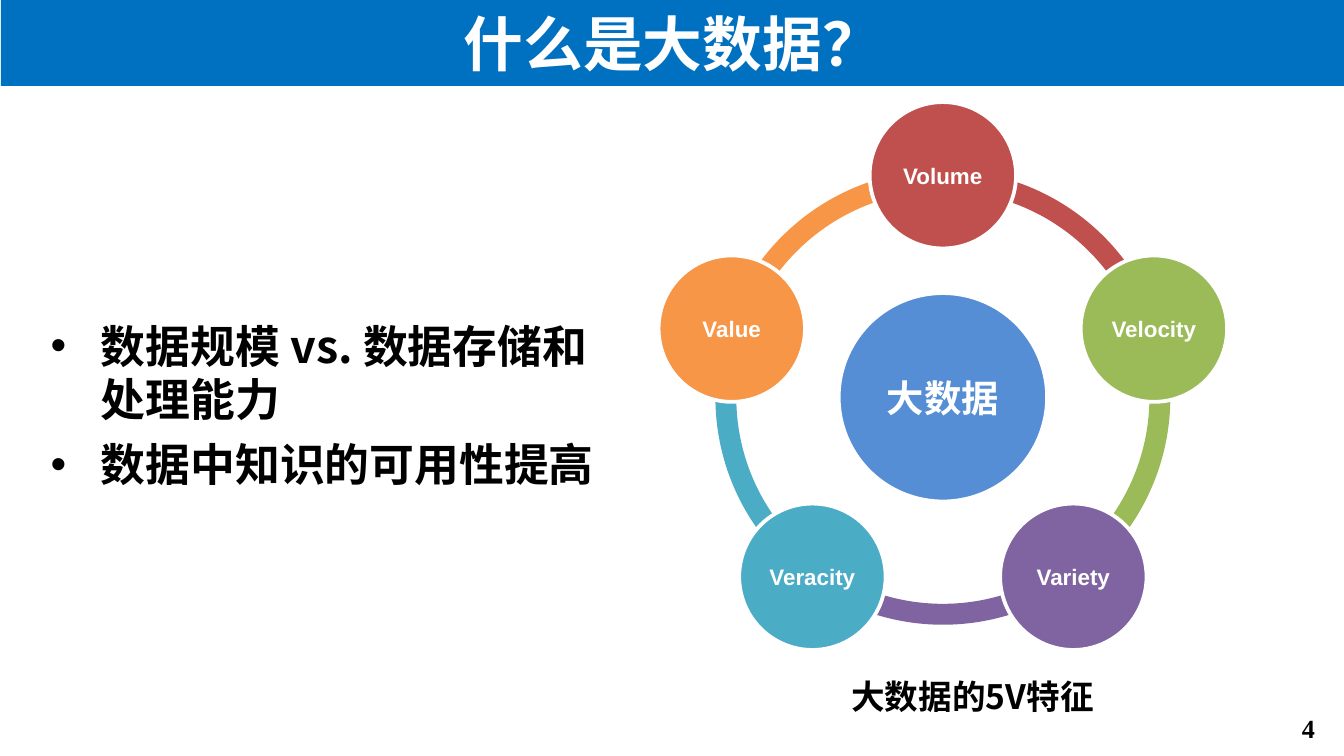
from math import cos, radians, sin

from lxml.etree import SubElement
from pptx import Presentation
from pptx.dml.color import RGBColor
from pptx.enum.shapes import MSO_SHAPE as Form
from pptx.enum.text import MSO_ANCHOR as Anchor, MSO_AUTO_SIZE as Fit, PP_ALIGN as Align
from pptx.oxml.ns import qn
from pptx.util import Pt

SANS = "Noto Sans CJK SC"
NODES = [
    ("Volume", "C0504D"),
    ("Velocity", "9BBB59"),
    ("Variety", "8064A2"),
    ("Veracity", "4BACC6"),
    ("Value", "F79646"),
]


def tint(code):
    return RGBColor.from_string(code)


def write(frame, *lines, size, font=SANS, color="000000", align=Align.LEFT,
          anchor=Anchor.TOP, inset=None, before=0, indent=0):
    frame.word_wrap = True
    frame.auto_size = Fit.NONE
    frame.vertical_anchor = anchor
    if inset is not None:
        frame.margin_left = frame.margin_right = Pt(inset)
        frame.margin_top = frame.margin_bottom = Pt(inset)
    for i, line in enumerate(lines):
        para = frame.add_paragraph() if i else frame.paragraphs[0]
        para.alignment = align
        para.space_before = Pt(before)
        if indent:
            props = para._p.get_or_add_pPr()
            props.set("marL", str(Pt(indent)))
            props.set("indent", str(-Pt(indent)))
            SubElement(props, qn("a:buFont"), typeface="Arial")
            SubElement(props, qn("a:buChar"), char="•")
        run = para.add_run()
        run.text = line
        run.font.size = Pt(size)
        run.font.bold = True
        run.font.name = font
        run.font.color.rgb = tint(color)
        SubElement(run._r.get_or_add_rPr(), qn("a:ea"), typeface=SANS)


def draw(slide, form, x, y, size, fill, edge=None):
    shape = slide.shapes.add_shape(
        form, Pt(x - size / 2), Pt(y - size / 2), Pt(size), Pt(size))
    shape.shadow.inherit = False
    shape.fill.solid()
    shape.fill.fore_color.rgb = tint(fill)
    if edge:
        shape.line.color.rgb = tint(edge)
        shape.line.width = Pt(2)
    else:
        shape.line.fill.background()
    return shape


def label(slide, box, *lines, **style):
    area = slide.shapes.add_textbox(*map(Pt, box))
    write(area.text_frame, *lines, **style)


def banner(slide, box, text):
    title = slide.shapes.title
    title.left, title.top, title.width, title.height = map(Pt, box)
    title.fill.solid()
    title.fill.fore_color.rgb = tint("0070C0")
    write(title.text_frame, text, size=32, color="FFFFFF",
          align=Align.CENTER, anchor=Anchor.MIDDLE)


def disc(slide, x, y, size, fill, text, points, inset):
    shape = draw(slide, Form.OVAL, x, y, size, fill, "FFFFFF")
    write(shape.text_frame, text, size=points, font="Arial", color="FFFFFF",
          align=Align.CENTER, anchor=Anchor.MIDDLE, inset=inset)


def wheel(slide, box, hub, nodes):
    left, top, width, height = box
    node = height * 0.267
    step = 360 / len(nodes)
    reach = (width - node) / 2 / sin(radians(step))
    x, y = left + width / 2, top + node / 2 + reach
    for i, (_, color) in enumerate(nodes):
        arc = draw(slide, Form.BLOCK_ARC, x, y, reach * 2.05, color)
        ends = [(270 + step * k) % 360 * 0.6 for k in (i, i + 1)]
        for k, value in enumerate([*ends, 0.046]):
            arc.adjustments[k] = value
    disc(slide, x, y, height * 0.38, "558ED5", hub, 20, 2)
    for i, (name, color) in enumerate(nodes):
        turn = radians(270 + step * i)
        disc(slide, x + reach * cos(turn), y + reach * sin(turn),
             node, color, name, 12, 1.5)


def main():
    deck = Presentation()
    deck.slide_width, deck.slide_height = Pt(720), Pt(405)
    slide = deck.slides.add_slide(deck.slide_layouts[5])
    banner(slide, (0.5, 0, 720, 46), "什么是大数据？")
    label(slide, (20, 167, 323.5, 101), "数据规模 vs. 数据存储和处理能力",
          "数据中知识的可用性提高", size=24, before=6, indent=27)
    wheel(slide, (352.8, 54.7, 304.6, 293.8), "大数据", NODES)
    label(slide, (439, 358.5, 164, 29), "大数据的5V特征", size=18,
          align=Align.CENTER, before=3.6)
    label(slide, (666, 378, 45.5, 24.5), "4", size=14,
          font="Times New Roman", align=Align.RIGHT, before=2.8)
    deck.save("out.pptx")


if __name__ == "__main__":
    main()
